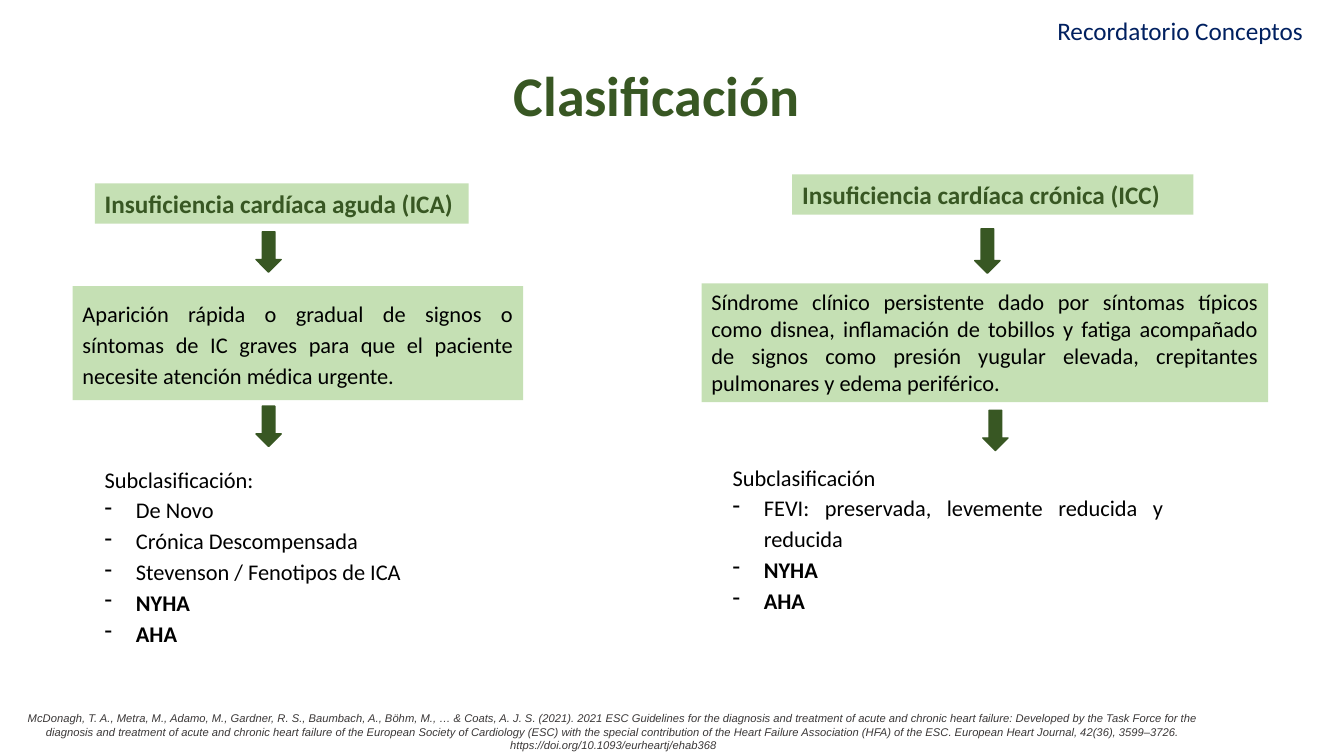
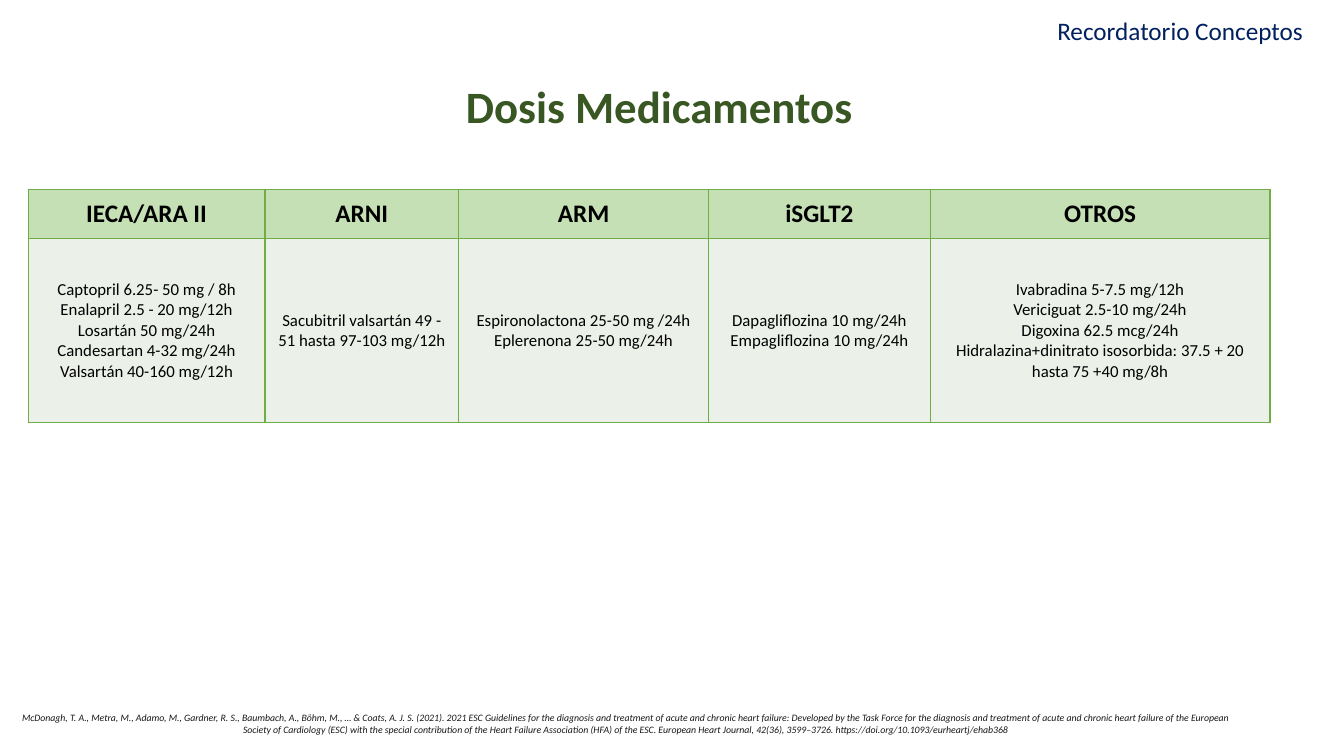
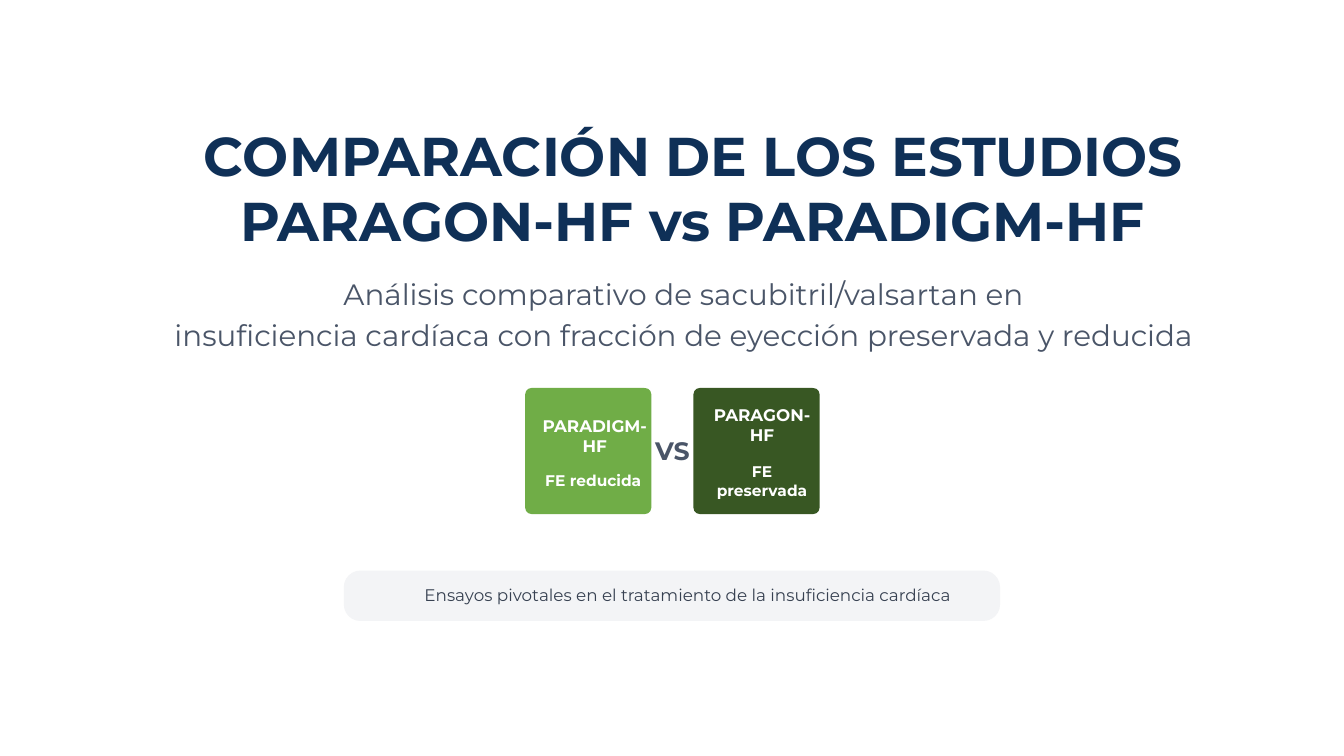
import dataclasses

import lxml.etree
import pptx
import pptx.dml.color
import pptx.enum.shapes
import pptx.enum.text
import pptx.oxml.ns
import pptx.util

SHAPES = pptx.enum.shapes.MSO_SHAPE
ALIGN = pptx.enum.text.PP_ALIGN
ANCHOR = pptx.enum.text.MSO_ANCHOR

PALE, FOREST, LEAF, MIST = "C5E0B4", "385723", "70AD47", "EBF1E9"
NAVY, DEEP, SLATE, SMOKE = "002060", "0F3057", "4A5568", "F3F4F6"
BLACK, WHITE = "000000", "FFFFFF"

CITATION = (
    "McDonagh, T. A., Metra, M., Adamo, M., Gardner, R. S., Baumbach, A., Böhm, M., … & Coats, A. J. S. (2021). "
    "2021 ESC Guidelines for the diagnosis and treatment of acute and chronic heart failure: Developed by the "
    "Task Force for the diagnosis and treatment of acute and chronic heart failure of the European Society of "
    "Cardiology (ESC) with the special contribution of the Heart Failure Association (HFA) of the ESC. "
    "European Heart Journal, 42(36), 3599–3726. https://doi.org/10.1093/eurheartj/ehab368"
)


def style(size, color, name="Calibri", **extra):
    return {"size": pptx.util.Pt(size), "color": color, "name": name, **extra}


TAG = style(18, NAVY)
HEADING = style(18, FOREST, bold=True)
BODY = style(16, BLACK)
STRONG = style(16, BLACK, bold=True)
TABLE_HEAD = style(18, BLACK, bold=True)
TABLE_BODY = style(12, BLACK, bold=False)
COVER_TITLE = style(39, DEEP, "Montserrat", bold=True)
COVER_SUBTITLE = style(21, SLATE, "Montserrat")
VERSUS = style(18, SLATE, "Montserrat", bold=True)
TILE_NAME = style(12, WHITE, "Montserrat", bold=True)
TILE_NOTE = style(11, WHITE, "Montserrat", bold=True)
CAPTION = style(12, "374151", "Montserrat")

PLAIN = (0.1, 0.05)
ROOMY = (0.1, 0.1)
TIGHT = (0, 0)


@dataclasses.dataclass
class Box:
    left: float
    top: float
    width: float
    height: float

    def area(self, left, top, width, height):
        return Box(
            self.left + self.width * left / 100,
            self.top + self.height * top / 100,
            self.width * width / 100,
            self.height * height / 100,
        )

    def lengths(self):
        return [pptx.util.Inches(side) for side in (self.left, self.top, self.width, self.height)]


SLIDE = Box(0, 0, 13.33, 7.5)


def rgb(color):
    return pptx.dml.color.RGBColor.from_string(color)


def paint(fill, color):
    fill.solid()
    fill.fore_color.rgb = rgb(color)


def add_span(para, text, form):
    span = para.add_run()
    span.text = text
    for key, value in form.items():
        if key == "color":
            span.font.color.rgb = rgb(value)
        else:
            setattr(span.font, key, value)


def write(frame, lines, form, align=ALIGN.LEFT, spacing=None):
    for index, text in enumerate(lines):
        para = frame.paragraphs[0] if index == 0 else frame.add_paragraph()
        for key, value in {"alignment": align, "line_spacing": spacing}.items():
            setattr(para, key, value)
        add_span(para, text, form)


def set_frame(frame, inset, anchor):
    across, down = (pptx.util.Inches(side) for side in inset)
    values = {
        "word_wrap": True,
        "margin_left": across,
        "margin_right": across,
        "margin_top": down,
        "margin_bottom": down,
        "vertical_anchor": anchor,
    }
    for key, value in values.items():
        setattr(frame, key, value)


def add_text(page, box, lines, form, inset=PLAIN, anchor=ANCHOR.TOP, align=ALIGN.LEFT, spacing=None):
    frame = page.shapes.add_textbox(*box.lengths()).text_frame
    set_frame(frame, inset, anchor)
    write(frame, lines, form, align, spacing)
    return frame


def add_cover_text(page, box, text, form, align=ALIGN.CENTER):
    add_text(page, box, [text], form, TIGHT, ANCHOR.MIDDLE, align)


def add_block(page, kind, box, color, outline=None, corner=None):
    shape = page.shapes.add_shape(kind, *box.lengths())
    shape.shadow.inherit = False
    paint(shape.fill, color)
    if outline:
        paint(shape.line.fill, outline)
        shape.line.width = pptx.util.Pt(1)
    else:
        shape.line.fill.background()
    if corner is not None:
        shape.adjustments[0] = corner
    return shape


def add_label(page, box, text, form, inset=PLAIN, align=ALIGN.LEFT, spacing=None):
    frame = add_block(page, SHAPES.RECTANGLE, box, PALE).text_frame
    set_frame(frame, inset, ANCHOR.TOP)
    write(frame, [text], form, align, spacing)


def add_dash(para):
    props = para._p.get_or_add_pPr()
    indent = pptx.util.Inches(0.31)
    props.set("marL", str(indent))
    props.set("indent", str(-indent))
    lxml.etree.SubElement(props, pptx.oxml.ns.qn("a:buChar")).set("char", "-")


def add_concept_frame(page, title, title_box, title_size, footer_box, footer_form, footer_inset):
    add_text(page, SLIDE.area(77.93, 1.33, 21.3, 5.33), ["Recordatorio Conceptos"], TAG)
    title_form = style(title_size, FOREST, bold=True)
    add_text(page, SLIDE.area(*title_box), [title], title_form, align=ALIGN.CENTER)
    add_text(page, SLIDE.area(*footer_box), [CITATION], footer_form, footer_inset, align=ALIGN.CENTER)


def add_pathway(page, box, pathway):
    places = {key: box.area(*place) for key, place in pathway["places"].items()}
    add_label(page, places["heading"], pathway["heading"], HEADING)
    add_label(page, places["definition"], pathway["definition"], BODY,
              pathway["inset"], ALIGN.JUSTIFY, pathway["spacing"])
    for key in ("first arrow", "second arrow"):
        add_block(page, SHAPES.DOWN_ARROW, places[key], FOREST, FOREST)
    frame = add_text(page, places["subclasses"], [pathway["lead"]], BODY, ROOMY,
                     align=ALIGN.JUSTIFY, spacing=1.15)
    for text in pathway["subclasses"] + ["NYHA", "AHA"]:
        para = frame.add_paragraph()
        add_dash(para)
        para.alignment = ALIGN.JUSTIFY
        para.line_spacing = 1.15
        add_span(para, text, BODY if text in pathway["subclasses"] else STRONG)


ACUTE = {
    "heading": "Insuficiencia cardíaca aguda (ICA)",
    "definition": "Aparición rápida o gradual de signos o síntomas de IC graves "
                  "para que el paciente necesite atención médica urgente.",
    "inset": ROOMY,
    "spacing": 1.15,
    "lead": "Subclasificación:",
    "subclasses": ["De Novo", "Crónica Descompensada", "Stevenson / Fenotipos de ICA"],
    "places": {
        "heading": (3.67, 0.4, 61.83, 8),
        "first arrow": (30.33, 10, 4.17, 8),
        "definition": (0, 20.8, 74.5, 22.6),
        "second arrow": (30.33, 44.6, 4.17, 8),
        "subclasses": (3.67, 53.6, 74.5, 41.2),
    },
}
CHRONIC = {
    "heading": "Insuficiencia cardíaca crónica (ICC)",
    "definition": "Síndrome clínico persistente dado por síntomas típicos como disnea, "
                  "inflamación de tobillos y fatiga acompañado de signos como presión "
                  "yugular elevada, crepitantes pulmonares y edema periférico.",
    "inset": PLAIN,
    "spacing": None,
    "lead": "Subclasificación",
    "subclasses": ["FEVI: preservada, levemente reducida y reducida"],
    "places": {
        "heading": (15, 0, 66.33, 8),
        "first arrow": (45.17, 10.8, 4.17, 8.8),
        "definition": (0, 21.6, 93.67, 23.6),
        "second arrow": (46.5, 46.8, 4.17, 8),
        "subclasses": (3.5, 54.6, 74.5, 35),
    },
}


def build_classification(page):
    add_concept_frame(page, "Clasificación", (23.85, 7.33, 50.03, 10.4), 40,
                      (0.08, 93.47, 91.13, 6.53), style(8, "3B3838", "Arial", italic=True), PLAIN)
    add_pathway(page, SLIDE.area(5.4, 24, 45, 66.67), ACUTE)
    add_pathway(page, SLIDE.area(52.2, 23.07, 45, 66.67), CHRONIC)


DOSES = {
    "IECA/ARA II": ["Captopril 6.25- 50 mg / 8h", "Enalapril 2.5 - 20 mg/12h", "Losartán 50 mg/24h",
                    "Candesartan 4-32 mg/24h", "Valsartán 40-160 mg/12h"],
    "ARNI": ["Sacubitril valsartán 49 - 51 hasta 97-103 mg/12h"],
    "ARM": ["Espironolactona 25-50 mg /24h", "Eplerenona 25-50 mg/24h"],
    "iSGLT2": ["Dapagliflozina 10 mg/24h", "Empagliflozina 10 mg/24h"],
    "OTROS": ["Ivabradina 5-7.5 mg/12h", "Vericiguat 2.5-10 mg/24h", "Digoxina 62.5 mcg/24h",
              "Hidralazina+dinitrato isosorbida: 37.5 + 20 hasta 75 +40 mg/8h"],
}
DOSE_COLUMNS = (2.35, 1.92, 2.48, 2.2, 3.37)
DOSE_ROWS = (0.49, 1.82)


def add_borders(cell, color):
    props = cell._tc.get_or_add_tcPr()
    for index, side in enumerate(("a:lnL", "a:lnR", "a:lnT", "a:lnB")):
        line = lxml.etree.Element(pptx.oxml.ns.qn(side), w=str(pptx.util.Pt(1)))
        solid = lxml.etree.SubElement(line, pptx.oxml.ns.qn("a:solidFill"))
        lxml.etree.SubElement(solid, pptx.oxml.ns.qn("a:srgbClr"), val=color)
        props.insert(index, line)


def fill_cell(cell, lines, form, color):
    paint(cell.fill, color)
    add_borders(cell, LEAF)
    cell.vertical_anchor = ANCHOR.MIDDLE
    for side in ("left", "right", "top", "bottom"):
        setattr(cell, "margin_" + side, pptx.util.Inches(0.09))
    write(cell.text_frame, lines, form, ALIGN.CENTER)


def add_dose_table(page, box):
    table = page.shapes.add_table(len(DOSE_ROWS), len(DOSE_COLUMNS), *box.lengths()).table
    for key in ("first_row", "horz_banding"):
        setattr(table, key, False)
    for column, share in zip(table.columns, DOSE_COLUMNS):
        column.width = pptx.util.Inches(box.width * share / sum(DOSE_COLUMNS))
    for row, share in zip(table.rows, DOSE_ROWS):
        row.height = pptx.util.Inches(box.height * share / sum(DOSE_ROWS))
    for index, (family, doses) in enumerate(DOSES.items()):
        fill_cell(table.cell(0, index), [family], TABLE_HEAD, PALE)
        fill_cell(table.cell(1, index), doses, TABLE_BODY, MIST)


def build_doses(page):
    add_concept_frame(page, "Dosis Medicamentos", (24.9, 9.73, 48.3, 8.53), 32,
                      (0.75, 92.8, 91.58, 5.87), style(7, "181717", italic=True), ROOMY)
    add_dose_table(page, SLIDE.area(2.1, 25.07, 92.4, 30.8))


COVER_LINES = [
    ("COMPARACIÓN DE LOS ESTUDIOS", COVER_TITLE, (13.65, 16, 75.85, 8.8)),
    ("PARAGON-HF vs PARADIGM-HF", COVER_TITLE, (16.35, 24.67, 70.35, 8.8)),
    ("Análisis comparativo de sacubitril/valsartan en", COVER_SUBTITLE, (24.75, 36.53, 52.2, 4.67)),
    ("insuficiencia cardíaca con fracción de eyección preservada y reducida",
     COVER_SUBTITLE, (12.15, 42, 77.4, 4.67)),
]


def add_study_tile(page, box, color, name, name_place, note, note_place):
    add_block(page, SHAPES.ROUNDED_RECTANGLE, box, color, corner=0.05)
    add_cover_text(page, box.area(*name_place), name, TILE_NAME)
    add_cover_text(page, box.area(*note_place), note, TILE_NOTE)


def add_caption_strip(page, box, text):
    add_block(page, SHAPES.ROUNDED_RECTANGLE, box, SMOKE, corner=0.33)
    add_cover_text(page, box.area(12.29, 28, 82.03, 40), text, CAPTION, ALIGN.LEFT)


def build_study_cover(page):
    for text, form, place in COVER_LINES:
        add_cover_text(page, SLIDE.area(*place), text, form)
    add_study_tile(page, SLIDE.area(39.08, 51.33, 9.38, 16.67), LEAF,
                   "PARADIGM-HF", (8.8, 20, 92.8, 36), "FE reducida", (13.6, 65.6, 80.8, 15.2))
    add_cover_text(page, SLIDE.area(48.75, 57.6, 3.98, 4), "VS", VERSUS, ALIGN.LEFT)
    add_study_tile(page, SLIDE.area(51.6, 51.33, 9.38, 16.67), FOREST,
                   "PARAGON-HF", (11.2, 11.2, 86.4, 36), "FE preservada", (16, 57.6, 76.8, 32))
    add_caption_strip(page, SLIDE.area(25.58, 75.47, 48.83, 6.67),
                      "Ensayos pivotales en el tratamiento de la insuficiencia cardíaca")


def main():
    deck = pptx.Presentation()
    deck.slide_width = pptx.util.Inches(SLIDE.width)
    deck.slide_height = pptx.util.Inches(SLIDE.height)
    for build in (build_classification, build_doses, build_study_cover):
        page = deck.slides.add_slide(deck.slide_layouts[6])
        paint(page.background.fill, WHITE)
        build(page)
    deck.save("out.pptx")


if __name__ == "__main__":
    main()
